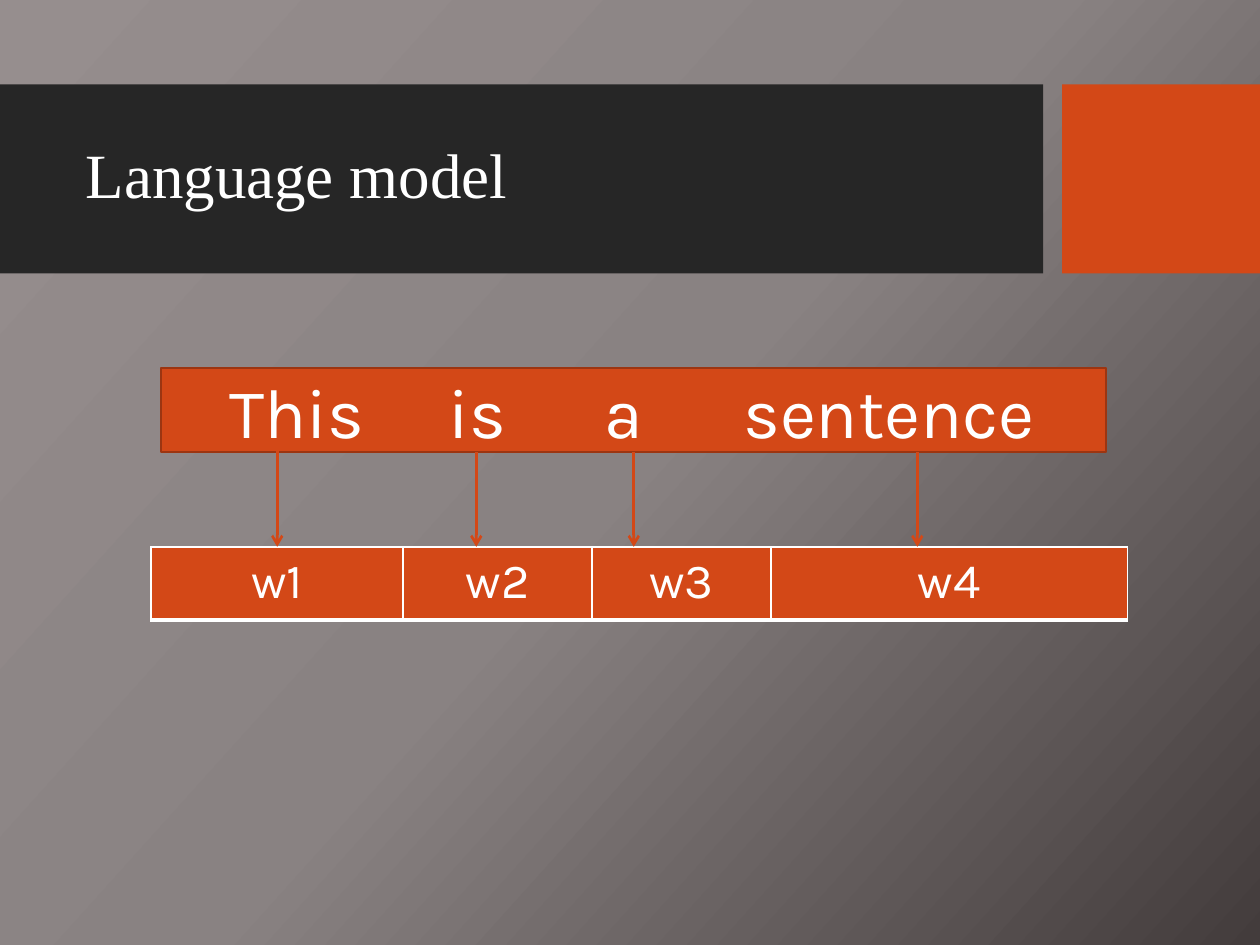
"""Build the language model slide: a sentence mapped word by word to tokens."""
import copy

import pptx
import pptx.dml.color
import pptx.enum.shapes
import pptx.enum.text
import pptx.oxml
import pptx.oxml.ns
import pptx.util
from pptx.util import Inches

COLORS = {
    "orange": "D34817", "rust": "9C3511", "dark": "262626", "white": "FFFFFF",
    "bg_light": "968E8E", "bg_mid": "898282", "bg_dark": "433C3C",
}
ALIGN = pptx.enum.text.PP_ALIGN
MIDDLE = pptx.enum.text.MSO_ANCHOR.MIDDLE


def rgb(name):
    return pptx.dml.color.RGBColor.from_string(COLORS[name])


def add_xml(parent, xml):
    head, tail = xml.split(" ", 1)
    parent.append(pptx.oxml.parse_xml(f'{head} {pptx.oxml.ns.nsdecls("a")} {tail}'))


class Deck:
    """Hold the style and the current slide."""

    heading_font = "Times New Roman"
    body_font = "Karla"

    def __init__(self, prs):
        self.s = prs.slides.add_slide(prs.slide_layouts[5])

    def background(self, names, angle):
        fill = self.s.background.fill
        fill.gradient()
        fill.gradient_angle = 360 - angle
        first = fill.gradient_stops[0]
        gs = next(self.s.element.iter(pptx.oxml.ns.qn("a:gs")))
        gs.addnext(copy.deepcopy(gs))
        stops = list(fill.gradient_stops) or [first]
        for i, (stop, name) in enumerate(zip(stops, names)):
            stop.position = i / (len(names) - 1)
            stop.color.rgb = rgb(name)

    def run(self, p, text, size, font):
        r = p.add_run()
        r.text = text
        r.font.size = pptx.util.Pt(size)
        r.font.name = font
        r.font.bold = False
        r.font.color.rgb = rgb("white")

    def box(self, at, fill, line=None):
        sp = self.s.shapes.add_shape(
            pptx.enum.shapes.MSO_SHAPE.RECTANGLE, *map(Inches, at))
        sp.shadow.inherit = False
        sp.fill.solid()
        sp.fill.fore_color.rgb = rgb(fill)
        if line:
            sp.line.color.rgb = rgb(line)
            sp.line.width = pptx.util.Pt(1)
        else:
            sp.line.fill.background()
        return sp

    def title(self, text, at):
        sp = self.s.shapes.title
        self.s.shapes.element.append(sp.element)
        sp.left, sp.top, sp.width, sp.height = map(Inches, at)
        tf = sp.text_frame
        tf.word_wrap = True
        tf.vertical_anchor = MIDDLE
        p = tf.paragraphs[0]
        p.alignment = ALIGN.LEFT
        p.line_spacing = 0.9
        self.run(p, text, 36, self.heading_font)

    def sentence(self, words, at, inset, tabs):
        sp = self.box(at, "orange", "rust")
        tf = sp.text_frame
        tf.word_wrap = True
        tf.vertical_anchor = MIDDLE
        tf.margin_left = Inches(inset)
        p = tf.paragraphs[0]
        p.alignment = ALIGN.LEFT
        stops = "".join(f'<a:tab pos="{Inches(x)}" algn="l"/>' for x in tabs)
        add_xml(p._p.get_or_add_pPr(), f"<a:tabLst >{stops}</a:tabLst>")
        self.run(p, "\t".join(words), 40, self.body_font)

    def tokens(self, labels, at, widths):
        table = self.s.shapes.add_table(1, len(labels), *map(Inches, at)).table
        table.first_row = table.horz_banding = False
        for i, (label, width) in enumerate(zip(labels, widths)):
            table.columns[i].width = Inches(width)
            cell = table.cell(0, i)
            p = cell.text_frame.paragraphs[0]
            p.alignment = ALIGN.CENTER
            self.run(p, label, 28, self.body_font)
            tc_pr = cell._tc.get_or_add_tcPr()
            for side, weight in zip("LRTB", (1, 1, 1, 3)):
                add_xml(tc_pr, f'<a:ln{side} w="{pptx.util.Pt(weight)}"><a:solidFill>'
                               f'<a:srgbClr val="{COLORS["white"]}"/></a:solidFill></a:ln{side}>')
            cell.fill.solid()
            cell.fill.fore_color.rgb = rgb("orange")

    def arrow(self, x, top, bottom):
        line = self.s.shapes.add_connector(
            pptx.enum.shapes.MSO_CONNECTOR.STRAIGHT, *map(Inches, (x, top, x, bottom)))
        line.line.color.rgb = rgb("orange")
        line.line.width = pptx.util.Pt(1.5)
        add_xml(line.line._get_or_add_ln(), '<a:tailEnd type="arrow"/>')
        add_xml(line._element.spPr, "<a:effectLst />")


def main():
    prs = pptx.Presentation()
    prs.slide_width, prs.slide_height = Inches(10), Inches(7.5)
    deck = Deck(prs)
    deck.background(("bg_light", "bg_mid", "bg_dark"), 42)
    deck.box((0, 0.67, 8.28, 1.5), "dark")
    deck.box((8.43, 0.67, 1.57, 1.5), "orange")
    deck.title("Language model", (0.58, 0.82, 7.54, 1.18))
    deck.sentence(("This", "is", "a", "sentence"), (1.28, 2.92, 7.5, 0.67),
                  0.54, (1.74, 2.98, 4.08))
    deck.tokens(("w1", "w2", "w3", "w4"), (1.2, 4.34, 7.75, 0.58),
                (2, 1.5, 1.42, 2.83))
    for x, top in ((2.2, 3.51), (3.78, 3.59), (5.03, 3.59), (7.28, 3.59)):
        deck.arrow(x, top, 4.34)
    prs.save("out.pptx")


if __name__ == "__main__":
    main()
